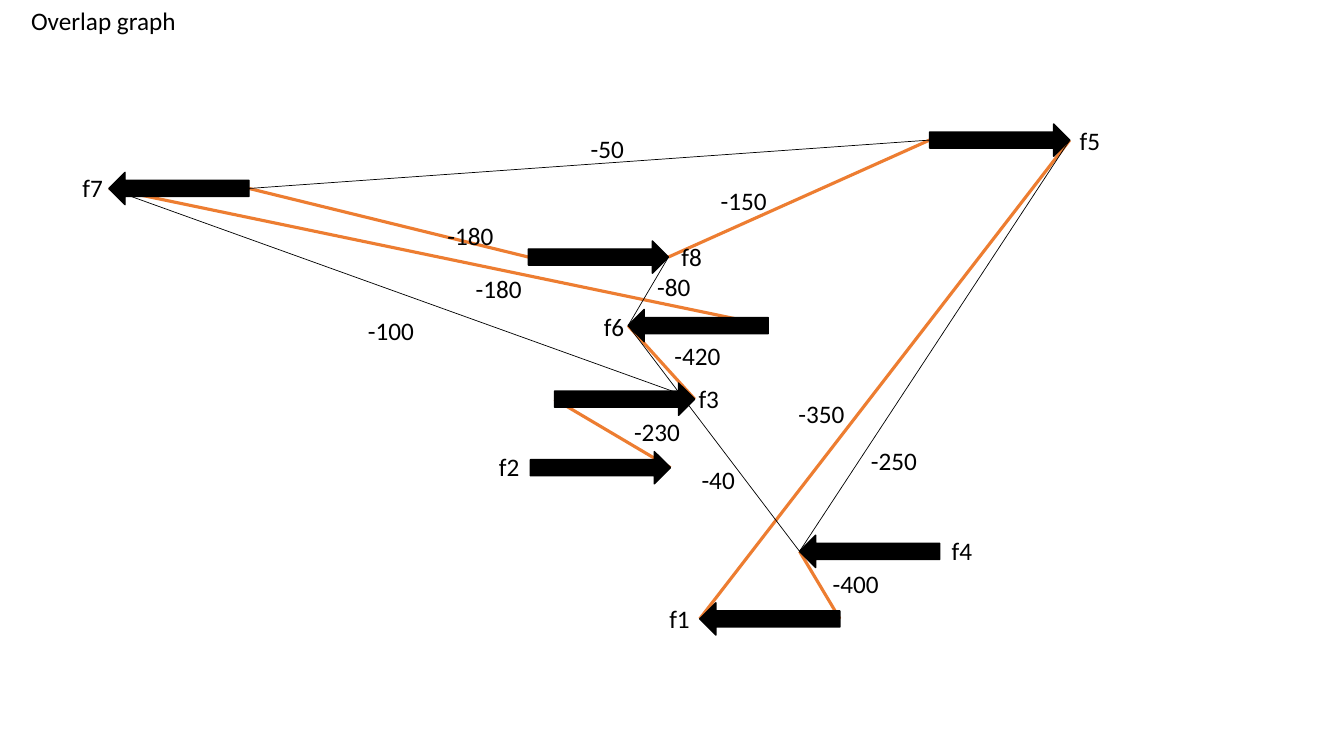
from dataclasses import dataclass

from lxml import etree
from pptx import Presentation
from pptx import util as u
from pptx.dml.color import RGBColor
from pptx.enum import shapes, text
from pptx.oxml.ns import qn


@dataclass(frozen=True)
class Theme:
    """Colours, font and sizes used on the slide."""
    ink: RGBColor = RGBColor(0, 0, 0)
    paper: RGBColor = RGBColor(255, 255, 255)
    accent: RGBColor = RGBColor(0xED, 0x7D, 0x31)
    font: str = "Calibri"
    size: float = 18
    thick: float = 2.25
    thin: float = 0.5


@dataclass(frozen=True)
class Fragment:
    """A directed fragment: arrow position, direction and label position."""
    left: float
    middle: float
    reverse: bool
    label: tuple

    def end(self, side):
        """Return the point at the left (L) or right (R) end."""
        return self.left + (ARROW_WIDTH if side == "R" else 0), self.middle


class Painter:
    """Draws styled elements on one slide."""

    def __init__(self, slide, theme):
        """Keep the current slide and its theme."""
        self.slide = slide
        self.theme = theme

    def label(self, content, left, top, width, fill=None):
        """Add one line of text, optionally on a filled box."""
        box = self.slide.shapes.add_textbox(
            *map(u.Inches, (left, top, width, LABEL_HEIGHT)))
        if fill is not None:
            box.fill.solid()
            box.fill.fore_color.rgb = fill
        frame = box.text_frame
        frame.word_wrap = True
        frame.auto_size = text.MSO_AUTO_SIZE.SHAPE_TO_FIT_TEXT
        para = frame.paragraphs[0]
        para.text = content
        para.font.name = self.theme.font
        para.font.size = u.Pt(self.theme.size)
        para.font.color.rgb = self.theme.ink

    def arrow(self, fragment):
        """Add the block arrow of a fragment."""
        arrow = self.slide.shapes.add_shape(
            shapes.MSO_SHAPE.RIGHT_ARROW,
            *map(u.Inches, (fragment.left, fragment.middle - ARROW_HEIGHT / 2,
                            ARROW_WIDTH, ARROW_HEIGHT)))
        arrow.shadow.inherit = False
        arrow.fill.solid()
        arrow.fill.fore_color.rgb = self.theme.ink
        arrow.line.color.rgb = self.theme.ink
        arrow.line.width = u.Pt(1)
        if fragment.reverse:
            arrow._element.spPr.find(qn("a:xfrm")).set("flipH", "1")

    def edge(self, start, finish, color, weight):
        """Add a straight edge between two points."""
        line = self.slide.shapes.add_connector(
            shapes.MSO_CONNECTOR.STRAIGHT, *map(u.Inches, start + finish))
        line.line.color.rgb = color
        line.line.width = u.Pt(weight)
        etree.SubElement(line._element.spPr, qn("a:effectLst"))


ARROW_WIDTH, ARROW_HEIGHT = 1.39, 0.32
LABEL_HEIGHT, NAME_WIDTH, WEIGHT_WIDTH = 0.4, 0.54, 0.73

FRAGMENTS = {
    "f7": Fragment(1.08, 1.87, True, (0.72, 1.66)),
    "f5": Fragment(9.22, 1.39, False, (10.61, 1.19)),
    "f8": Fragment(5.24, 2.55, False, (6.66, 2.34)),
    "f6": Fragment(6.23, 3.23, True, (5.89, 3.04)),
    "f3": Fragment(5.5, 3.96, False, (6.83, 3.75)),
    "f2": Fragment(5.26, 4.64, False, (4.85, 4.43)),
    "f4": Fragment(7.93, 5.47, True, (9.34, 5.26)),
    "f1": Fragment(6.94, 6.14, True, (6.54, 5.94)),
}
# Each edge joins two fragment ends: name, side, name, side.
CHOSEN_EDGES = ["f7 R f8 L", "f5 L f8 R", "f6 R f7 L", "f3 R f6 L",
                "f2 R f3 L", "f4 L f1 R", "f1 L f5 R"]
OTHER_EDGES = ["f5 L f7 R", "f8 R f6 L", "f6 L f4 L", "f3 R f7 L", "f4 L f5 R"]
WEIGHTS = [
    ("-50", 5.76, 1.27, NAME_WIDTH), ("-80", 6.42, 2.64, WEIGHT_WIDTH),
    ("-150", 7.05, 1.79, WEIGHT_WIDTH), ("-180", 4.62, 2.66, WEIGHT_WIDTH),
    ("-100", 3.55, 3.08, WEIGHT_WIDTH), ("-250", 8.54, 4.37, WEIGHT_WIDTH),
    ("-350", 7.82, 3.9, WEIGHT_WIDTH), ("-420", 6.59, 3.33, WEIGHT_WIDTH),
    ("-180", 4.34, 2.14, WEIGHT_WIDTH), ("-400", 8.16, 5.59, WEIGHT_WIDTH),
    ("-40", 6.86, 4.56, WEIGHT_WIDTH), ("-230", 6.19, 4.08, WEIGHT_WIDTH),
]


def draw_edges(painter, edges, color, weight):
    """Draw a list of edges in one style."""
    for edge in edges:
        first, side, second, other_side = edge.split()
        painter.edge(FRAGMENTS[first].end(side),
                     FRAGMENTS[second].end(other_side), color, weight)


def main():
    """Build and save the overlap graph slide."""
    deck = Presentation()
    deck.slide_width, deck.slide_height = u.Inches(13.33), u.Inches(7.5)
    theme = Theme()
    painter = Painter(deck.slides.add_slide(deck.slide_layouts[6]), theme)

    painter.label("Overlap graph", 0.21, 0, 6.39, theme.paper)
    draw_edges(painter, CHOSEN_EDGES, theme.accent, theme.thick)
    for fragment in FRAGMENTS.values():
        painter.arrow(fragment)
    draw_edges(painter, OTHER_EDGES, theme.ink, theme.thin)
    for name, fragment in FRAGMENTS.items():
        painter.label(name, *fragment.label, NAME_WIDTH)
    for weight in WEIGHTS:
        painter.label(*weight)
    deck.save("out.pptx")


main()
